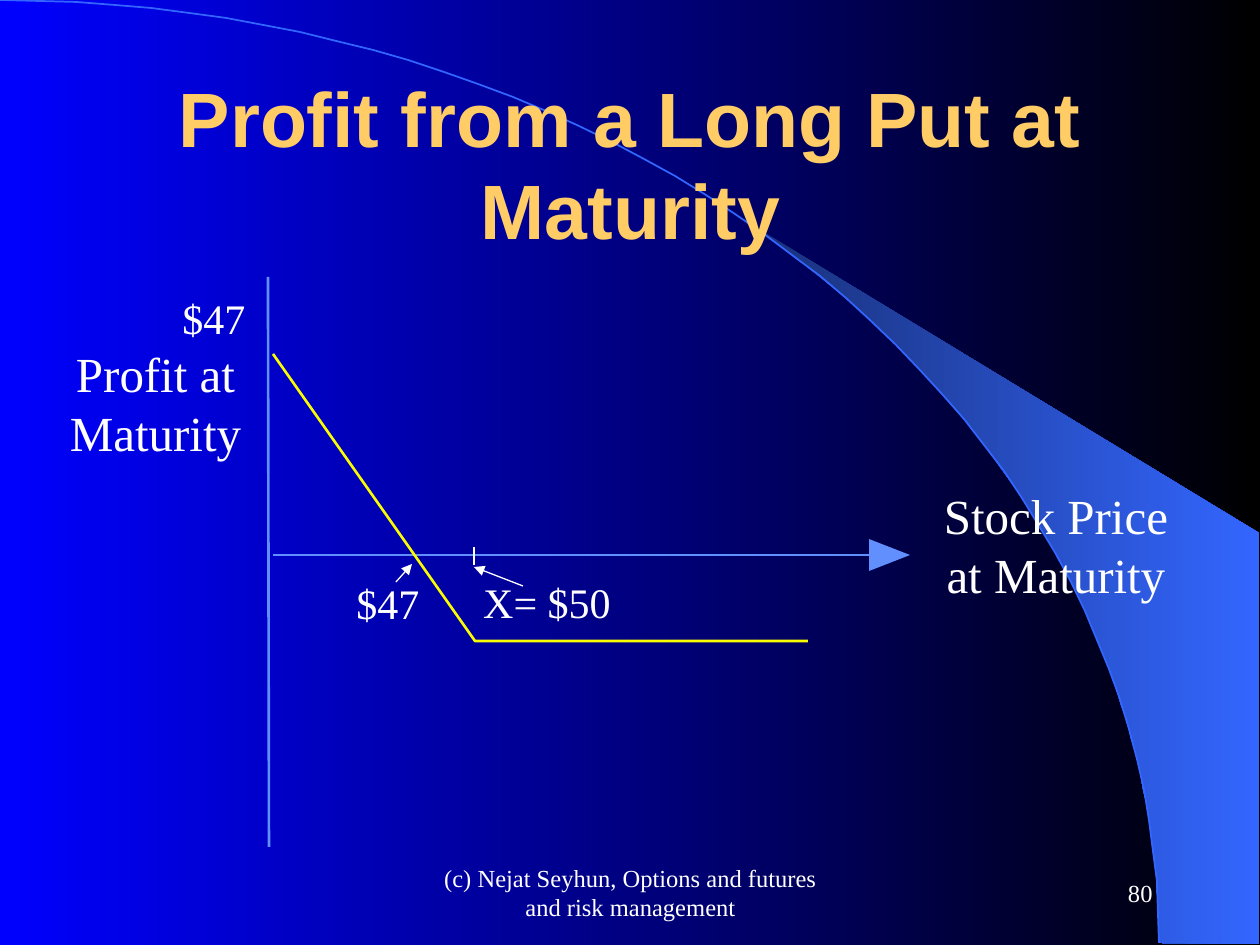
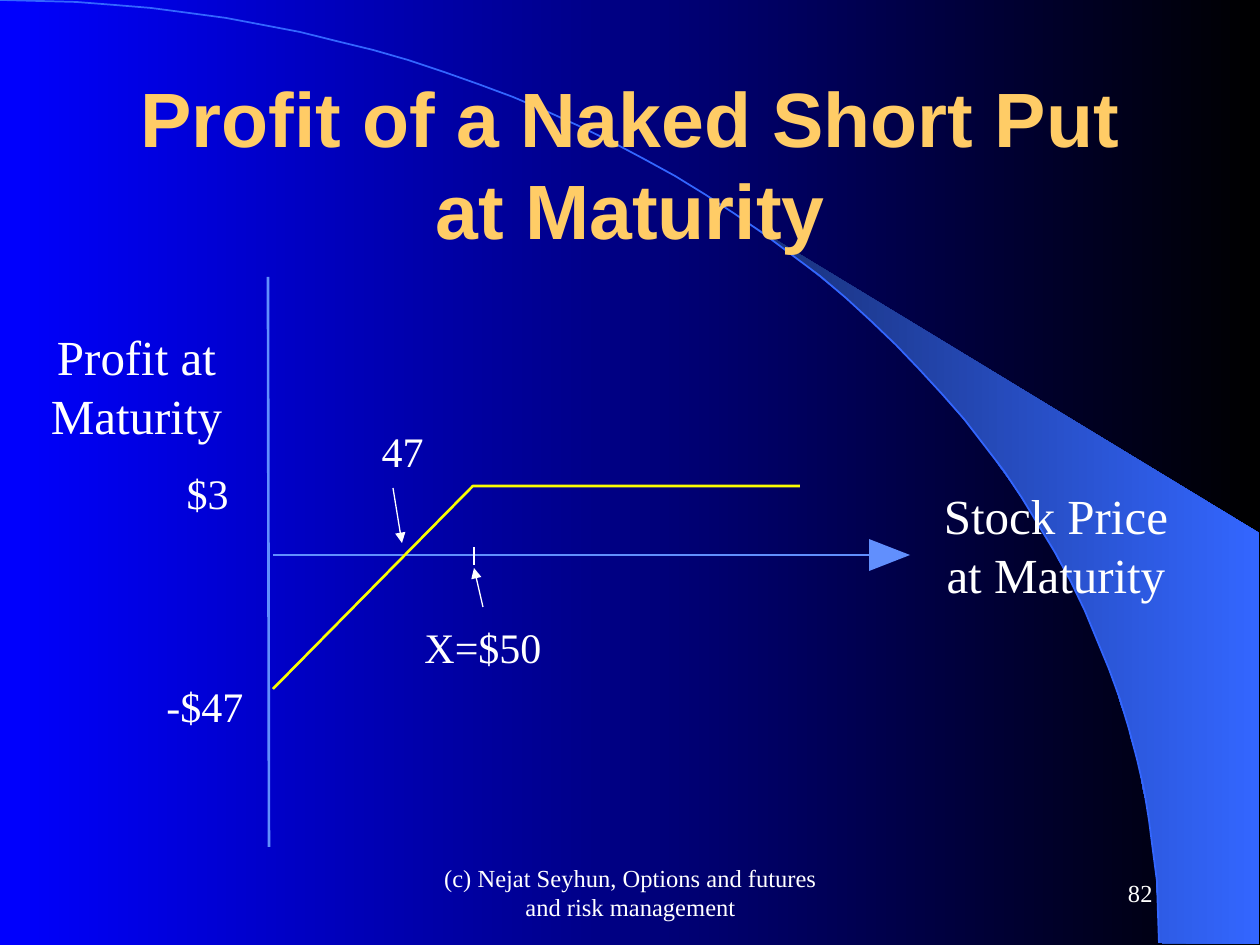
from math import asin, cos, pi, sin

from pptx import Presentation
from pptx import util as u
from pptx.dml import color
from pptx.enum import shapes, text
from pptx.oxml import ns, xmlchemy

PX = 914400 / 126  # EMU in one px
WIDE, HIGH = 1260, 945
ARC_W, ARC_H = 1159, 943

HUES = {
    "blue": "0000FF", "black": "000000", "navy": "182F76", "royal": "3366FF",
    "gold": "FFCC66", "white": "FFFFFF", "axis": "618FFD", "yellow": "FAFD00",
}
ALIGN = {"l": text.PP_ALIGN.LEFT, "c": text.PP_ALIGN.CENTER,
         "r": text.PP_ALIGN.RIGHT}
STYLES = {
    "title": {"name": "Arial", "size": u.Pt(44), "bold": True},
    "name": {"name": "Times New Roman", "size": u.Pt(28)},
    "value": {"name": "Times New Roman", "size": u.Pt(24)},
    "foot": {"name": "Times New Roman", "size": u.Pt(14)},
}


def emu(*px):
    return [u.Emu(round(n * PX)) for n in px]


def rgb(hue):
    return color.RGBColor.from_string(HUES[hue])


def blend(fill, *hues):
    """Fill from left to right with two hues."""
    fill.gradient()
    fill.gradient_angle = 0
    for stop, hue in zip(fill.gradient_stops, hues):
        stop.color.rgb = rgb(hue)


def stroke(line, hue, width):
    line.color.rgb = rgb(hue)
    line.width = u.Pt(width)


def label(slide, box, lines, style, hue="white", align="c",
          wrap=False, grow=True):
    """Text box; one that does not grow is centred on its middle."""
    frame = slide.shapes.add_textbox(*emu(*box)).text_frame
    form = {
        "word_wrap": wrap,
        "auto_size": (text.MSO_AUTO_SIZE.SHAPE_TO_FIT_TEXT if grow
                      else text.MSO_AUTO_SIZE.NONE),
        "vertical_anchor": (text.MSO_ANCHOR.TOP if grow
                            else text.MSO_ANCHOR.MIDDLE),
        "text": lines,
    }
    for key, value in form.items():
        setattr(frame, key, value)
    for para in frame.paragraphs:
        para.alignment = ALIGN[align]
        for key, value in STYLES[style].items():
            setattr(para.font, key, value)
        para.font.color.rgb = rgb(hue)


def rule(slide, ends, hue="white", width=0.75, arrow=False):
    """Straight line, with an arrowhead at its end if asked."""
    link = slide.shapes.add_connector(shapes.MSO_CONNECTOR.STRAIGHT, *emu(*ends))
    stroke(link.line, hue, width)
    props = link._element.spPr
    if arrow:
        head = xmlchemy.OxmlElement("a:tailEnd")
        head.set("type", "triangle")
        props.find(ns.qn("a:ln")).append(head)
    props.append(xmlchemy.OxmlElement("a:effectLst"))


def path(slide, points, close=False):
    """Outline through the points, with no fill or line yet."""
    pen = slide.shapes.build_freeform(*points[0], scale=PX)
    pen.add_line_segments(points[1:], close=close)
    form = pen.convert_to_shape()
    form.shadow.inherit = False
    form.fill.background()
    form.line.fill.background()
    return form


def curve(left, steps=48):
    """Points of the quarter ellipse from x = left to its foot."""
    first = asin(left / ARC_W)
    turns = [first + (pi / 2 - first) * i / steps for i in range(steps + 1)]
    return [(ARC_W * sin(t), ARC_H * (1 - cos(t))) for t in turns]


def base(deck, title, number):
    """Slide with background, sweep, footer and title."""
    slide = deck.slides.add_slide(deck.slide_layouts[6])
    blend(slide.background.fill, "blue", "black")

    # Lit wing and the arc along its edge
    wing = path(slide, curve(742) + [(1259, 944), (1259, 533)], close=True)
    blend(wing.fill, "navy", "royal")
    stroke(path(slide, curve(0)).line, "royal", 1)

    # Footer and title
    label(slide, (431, 861, 399, 63),
          "(c) Nejat Seyhun, Options and futures and risk management",
          "foot", wrap=True, grow=False)
    label(slide, (903, 861, 262, 63), number, "foot", align="r",
          wrap=True, grow=False)
    label(slide, (95, 84, 1071, 158), title, "title", "gold",
          wrap=True, grow=False)
    return slide


def graph(slide, payoff, name, values, arrows):
    """Axes, payoff line, axis names, values and pointers."""
    rule(slide, (273, 555, 869, 555), "axis", 1.5)
    tip = path(slide, [(869, 539), (910, 555), (869, 571)], close=True)
    tip.fill.solid()
    tip.fill.fore_color.rgb = rgb("axis")
    stroke(path(slide, payoff).line, "yellow", 1.5)
    rule(slide, (474, 547, 474, 565))
    rule(slide, (269, 847, 268, 277), "axis", 1.5)

    label(slide, (916, 479, 280, 131), "Stock Price at Maturity", "name",
          wrap=True)
    label(slide, (*name, 197, 131), "Profit at\nMaturity", "name")
    for left, top, width, words in values:
        label(slide, (left, top, width, 63), words, "value")
    for ends in arrows:
        rule(slide, ends, arrow=True)


def main():
    deck = Presentation()
    deck.slide_width, deck.slide_height = emu(WIDE, HIGH)

    # Long put
    graph(base(deck, "Profit from a Long Put at Maturity", "80"),
          payoff=[(273, 354), (475, 641), (808, 641)],
          name=(57, 337),
          values=[(467, 570, 160, "X= $50"), (170, 286, 88, "$47"),
                  (344, 571, 88, "$47")],
          arrows=[(523, 586, 474, 567), (396, 582, 412, 564)])

    # Short put
    graph(base(deck, "Profit of a Naked Short Put at Maturity", "82"),
          payoff=[(273, 689), (473, 486), (800, 486)],
          name=(38, 320),
          values=[(412, 615, 142, "X=$50"), (154, 674, 102, "-$47"),
                  (174, 461, 67, "$3"), (369, 419, 67, "47")],
          arrows=[(483, 607, 474, 568), (393, 488, 402, 543)])

    deck.save("out.pptx")


if __name__ == "__main__":
    main()
